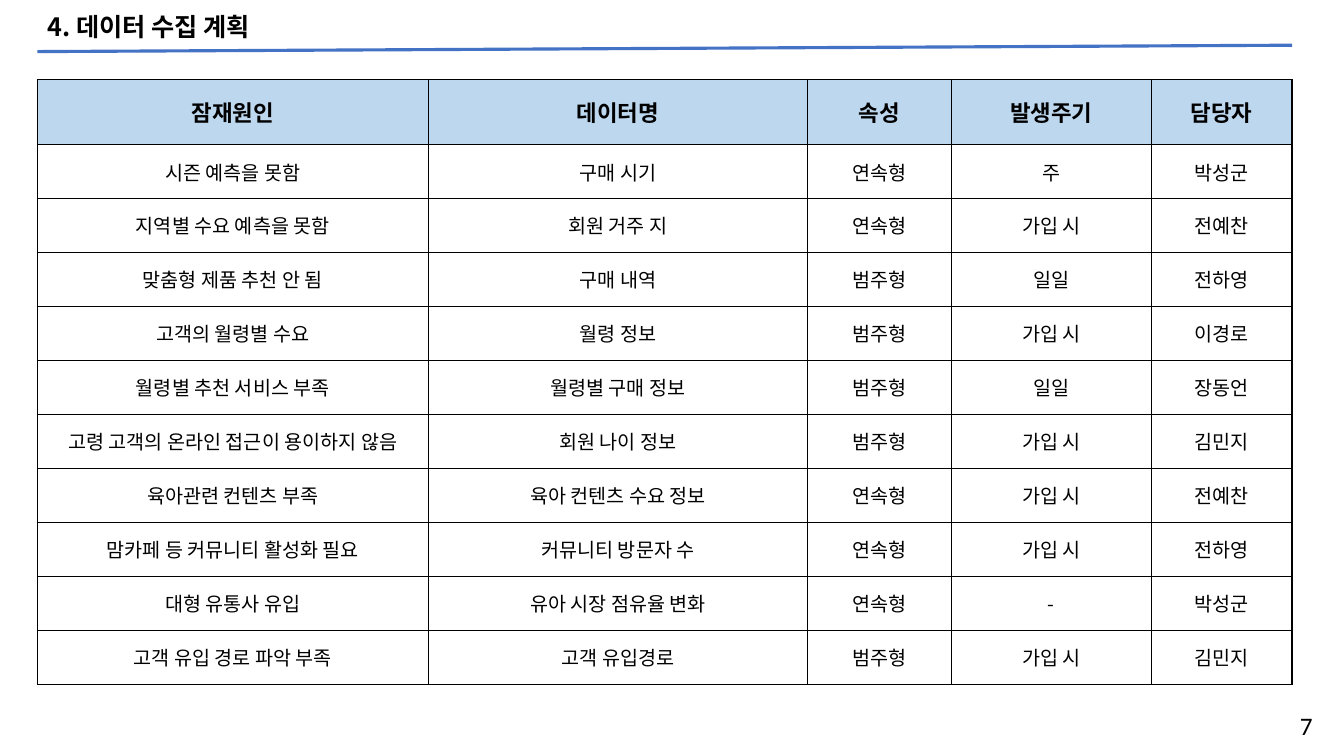
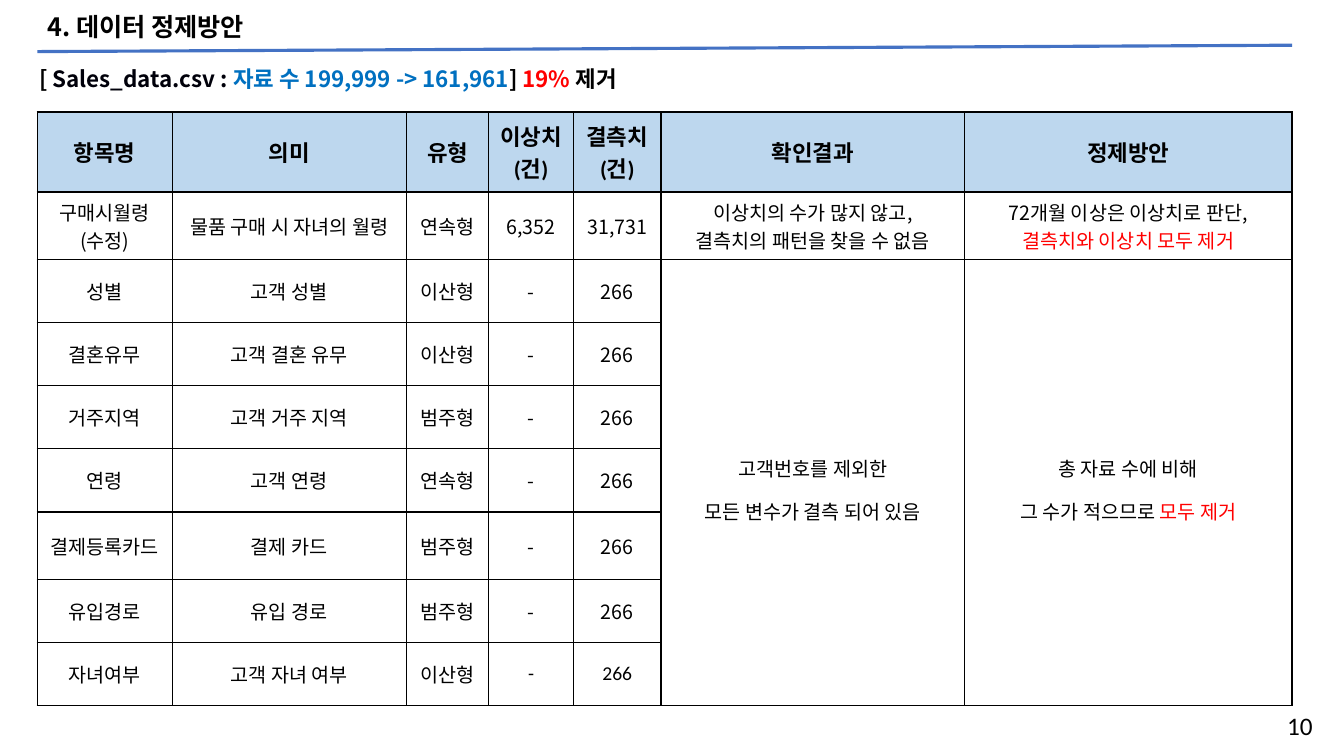
from lxml import etree
from pptx import Presentation
from pptx import util as u
from pptx.dml import color
from pptx.enum import shapes, text
from pptx.oxml import ns

COLORS = {
    "ink": "000000",
    "file": "00000A",
    "rule": "4472C4",
    "header": "BDD7EE",
    "count": "0070C0",
    "alert": "FF0000",
}
KOREAN = "Noto Sans CJK KR"
LATIN = "Calibri"
LEFT, CONTENT_WIDTH = 0.94, 31.62
CENTER = text.PP_ALIGN.CENTER


def rgb(name):
    return color.RGBColor.from_string(COLORS[name])


def add_run(paragraph, words, size, ink="ink", font=KOREAN, bold=False):
    run = paragraph.add_run()
    run.text = words
    run.font.size = u.Pt(size)
    run.font.bold = bold
    run.font.color.rgb = rgb(ink)
    run.font.name = font
    east_asian = etree.SubElement(run.font._element, ns.qn("a:ea"))
    east_asian.set("typeface", KOREAN)


def write(frame, lines, size, align, font=KOREAN, bold=False, spacing=None):
    frame.word_wrap = True
    for index, line in enumerate(lines):
        paragraph = frame.paragraphs[0] if index == 0 else frame.add_paragraph()
        paragraph.alignment = align
        if spacing:
            paragraph.line_spacing = spacing
        for words, ink in line:
            add_run(paragraph, words, size, ink, font, bold)


def as_lines(content):
    if isinstance(content, str):
        return [[(content, "ink")]]
    return content


def add_borders(cell):
    properties = cell._tc.get_or_add_tcPr()
    for side in ("lnL", "lnR", "lnT", "lnB"):
        border = etree.SubElement(properties, ns.qn(f"a:{side}"), w=str(u.Pt(1)))
        fill = etree.SubElement(border, ns.qn("a:solidFill"))
        etree.SubElement(fill, ns.qn("a:srgbClr"), val=COLORS["ink"])


def add_text(slide, box, lines, size, align, anchor, **style):
    frame = slide.shapes.add_textbox(*map(u.Cm, box)).text_frame
    frame.vertical_anchor = anchor
    write(frame, lines, size, align, **style)


def add_frame(deck, heading, number):
    slide = deck.slides.add_slide(deck.slide_layouts[5])
    rule = slide.shapes.add_connector(
        shapes.MSO_CONNECTOR.STRAIGHT,
        u.Cm(LEFT), u.Cm(1.3), u.Cm(LEFT + CONTENT_WIDTH), u.Cm(1.14))
    rule.line.color.rgb = rgb("rule")
    rule.line.width = u.Pt(2.25)
    etree.SubElement(rule._element.spPr, ns.qn("a:effectLst"))

    title = slide.shapes.title
    title.left, title.top, title.width, title.height = map(
        u.Cm, (LEFT, 0.2, 23.22, 1.04))
    title.text_frame.vertical_anchor = text.MSO_ANCHOR.MIDDLE
    title.text_frame.auto_size = text.MSO_AUTO_SIZE.NONE
    write(title.text_frame, [[(heading, "ink")]], 18, text.PP_ALIGN.LEFT,
          bold=True, spacing=0.9)
    add_text(slide, (30.84, 17.78, 2.49, 1.04), [[(number, "ink")]], 18,
             text.PP_ALIGN.RIGHT, text.MSO_ANCHOR.TOP, font=LATIN)
    return slide


def add_grid(slide, top, widths, heights, header, rows, merged=(), latin=()):
    table = slide.shapes.add_table(
        len(heights), len(widths), u.Cm(LEFT), u.Cm(top),
        u.Cm(sum(widths)), u.Cm(sum(heights))).table
    table.first_row = table.horz_banding = False
    for column, width in zip(table.columns, widths):
        column.width = u.Cm(width)
    for row, height in zip(table.rows, heights):
        row.height = u.Cm(height)

    for r, contents in enumerate([header, *rows]):
        for c in range(len(widths)):
            cell = table.cell(r, c)
            add_borders(cell)
            cell.vertical_anchor = text.MSO_ANCHOR.MIDDLE
            if r == 0:
                cell.fill.solid()
                cell.fill.fore_color.rgb = rgb("header")
                style = {"size": 16, "font": LATIN, "bold": True}
            else:
                cell.fill.background()
                font = LATIN if (r, c) in latin else KOREAN
                spacing = 1.5 if (r, c) in merged else None
                style = {"size": 14, "font": font, "spacing": spacing}
            if c < len(contents):
                write(cell.text_frame, as_lines(contents[c]), align=CENTER, **style)
    for r, c in merged:
        table.cell(r, c).merge(table.cell(len(heights) - 1, c))


def collection_plan(deck):
    slide = add_frame(deck, "4. 데이터 수집 계획", "7")
    rows = [
        ("시즌 예측을 못함", "구매 시기", "연속형", "주", "박성군"),
        ("지역별 수요 예측을 못함", "회원 거주 지", "연속형", "가입 시", "전예찬"),
        ("맞춤형 제품 추천 안 됨", "구매 내역", "범주형", "일일", "전하영"),
        ("고객의 월령별 수요", "월령 정보", "범주형", "가입 시", "이경로"),
        ("월령별 추천 서비스 부족", "월령별 구매 정보", "범주형", "일일", "장동언"),
        ("고령 고객의 온라인 접근이 용이하지 않음", "회원 나이 정보", "범주형",
         "가입 시", "김민지"),
        ("육아관련 컨텐츠 부족", "육아 컨텐츠 수요 정보", "연속형", "가입 시", "전예찬"),
        ("맘카페 등 커뮤니티 활성화 필요", "커뮤니티 방문자 수", "연속형",
         "가입 시", "전하영"),
        ("대형 유통사 유입", "유아 시장 점유율 변화", "연속형", "-", "박성군"),
        ("고객 유입 경로 파악 부족", "고객 유입경로", "범주형", "가입 시", "김민지"),
    ]
    add_grid(slide, 2.0, [9.86, 9.55, 3.63, 5.03, 3.55],
             [1.64] + [1.36] * len(rows),
             ("잠재원인", "데이터명", "속성", "발생주기", "담당자"), rows)


def cleaning_plan(deck):
    slide = add_frame(deck, "4. 데이터 정제방안", "10")
    summary = [
        ("[ ", "ink"),
        ("Sales_data.csv : ", "file"),
        ("자료 수 199,999 -> 161,961", "count"),
        ("] ", "ink"),
        ("19% ", "alert"),
        ("제거", "ink"),
    ]
    add_text(slide, (0.74, 1.42, 17.42, 1.19), [summary], 16,
             text.PP_ALIGN.LEFT, text.MSO_ANCHOR.MIDDLE, bold=True, spacing=0.9)

    age_finding = [[("이상치의 수가 많지 않고,", "ink")],
                   [("결측치의 패턴을 찾을 수 없음", "ink")]]
    age_action = [[("72개월 이상은 이상치로 판단,", "ink")],
                  [("결측치와 이상치 모두 제거", "alert")]]
    shared_finding = [[("고객번호를 제외한", "ink")],
                      [("모든 변수가 결측 되어 있음", "ink")]]
    shared_action = [[("총 자료 수에 비해", "ink")],
                     [("그 수가 적으므로 ", "ink"), ("모두 제거", "alert")]]
    fields = [
        ("성별", "고객 성별", "이산형"),
        ("결혼유무", "고객 결혼 유무", "이산형"),
        ("거주지역", "고객 거주 지역", "범주형"),
        ("연령", "고객 연령", "연속형"),
        ("결제등록카드", "결제 카드", "범주형"),
        ("유입경로", "유입 경로", "범주형"),
        ("자녀여부", "고객 자녀 여부", "이산형"),
    ]
    rows = [("구매시월령(수정)", "물품 구매 시 자녀의 월령", "연속형", "6,352",
             "31,731", age_finding, age_action)]
    rows += [(*field, "-", "266") for field in fields]
    rows[1] += (shared_finding, shared_action)
    add_grid(slide, 2.82, [3.4, 5.9, 2.08, 2.13, 2.21, 7.65, 8.25],
             [2.02, 1.7] + [1.59] * 4 + [1.7] + [1.59] * 2,
             ("항목명", "의미", "유형", "이상치(건)", "결측치(건)", "확인결과", "정제방안"),
             rows, merged=[(2, 5), (2, 6)], latin=[(8, 3), (8, 4)])


def main():
    deck = Presentation()
    deck.slide_width, deck.slide_height = u.Cm(33.87), u.Cm(19.05)
    collection_plan(deck)
    cleaning_plan(deck)
    deck.save("out.pptx")


if __name__ == "__main__":
    main()
